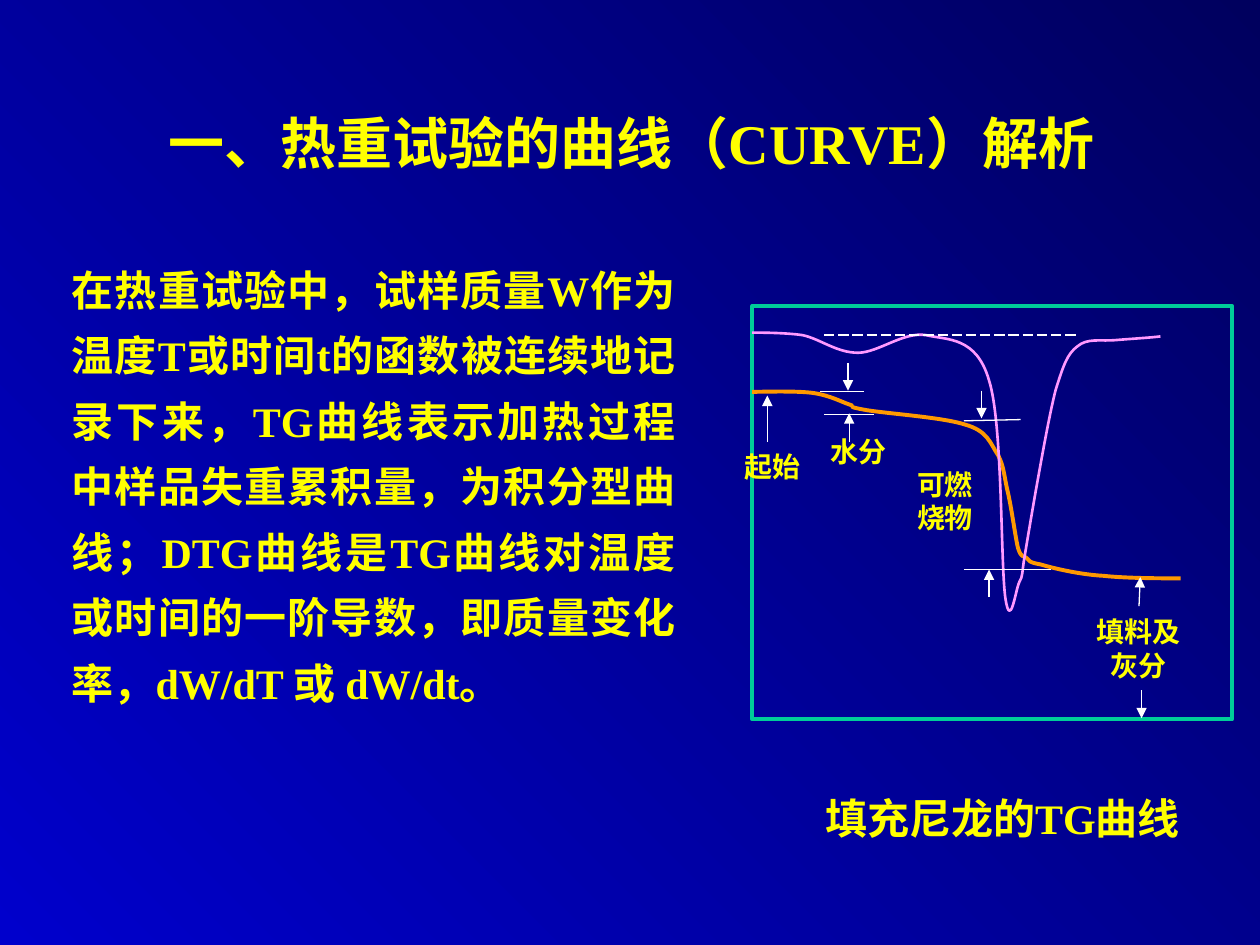
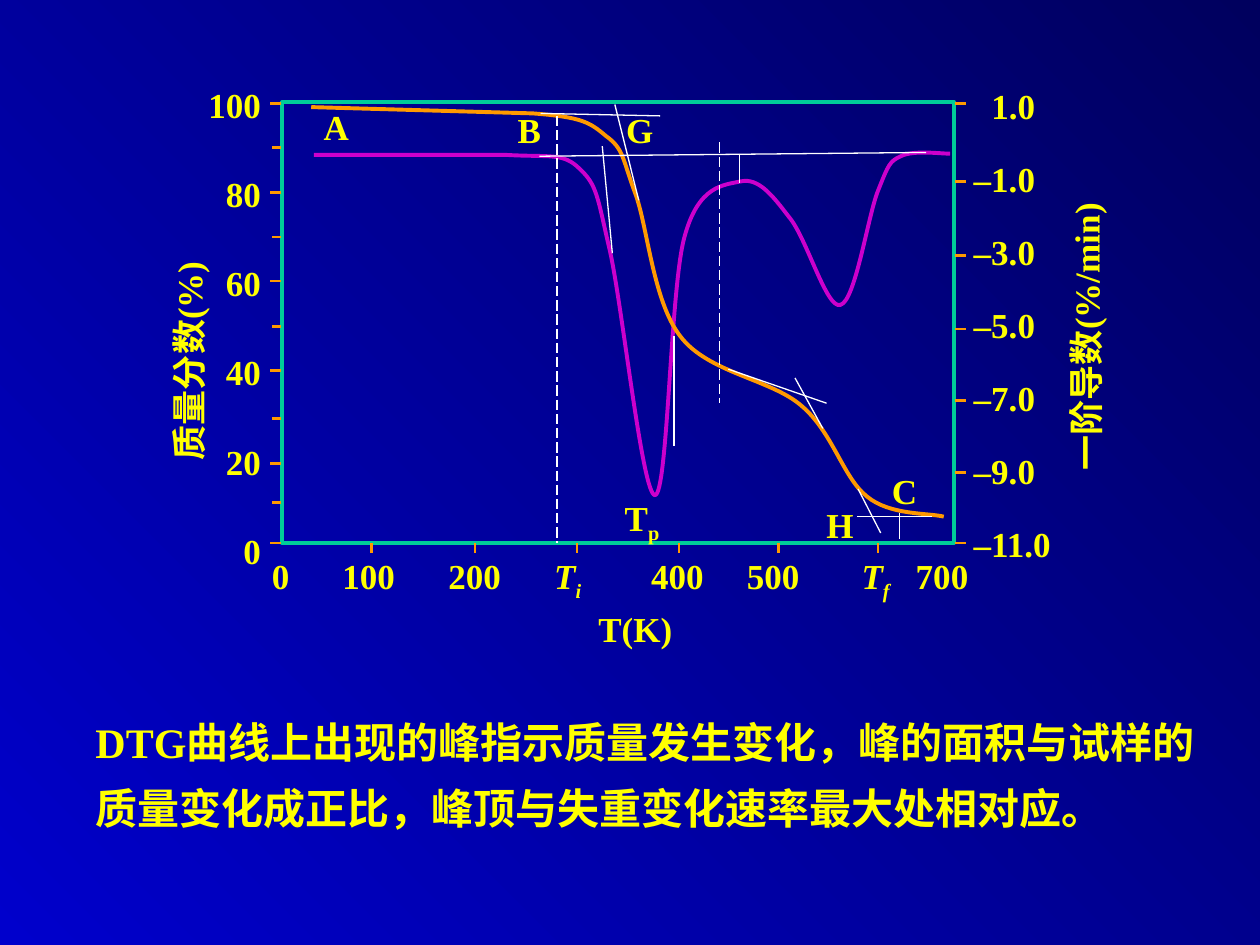
from itertools import cycle
from lxml.etree import SubElement
from pptx import Presentation
from pptx.dml.color import RGBColor
from pptx.enum.dml import MSO_LINE
from pptx.enum.shapes import MSO_CONNECTOR, MSO_SHAPE
from pptx.enum.text import MSO_ANCHOR, MSO_AUTO_SIZE, PP_ALIGN
from pptx.oxml.ns import qn
from pptx.util import Inches, Pt

COLORS = {
    "low": "0000CC", "high": "00005E", "text": "FFFF00", "frame": "00CC99",
    "mass": "FF9900", "rate": "FF99FF", "deriv": "CC00CC", "mark": "FFFFFF",
}
FONT = {"name": "Times New Roman", "bold": True}

MASS = [
    (5.97, 3.11), (6.05, 3.11, 6.33, 3.1, 6.46, 3.12),
    (6.59, 3.14, 6.68, 3.19, 6.74, 3.21), (6.81, 3.23, 6.69, 3.22, 6.85, 3.25),
    (7, 3.28, 7.48, 3.31, 7.66, 3.37), (7.84, 3.42, 7.86, 3.52, 7.92, 3.61),
    (7.97, 3.7, 7.97, 3.79, 8, 3.91), (8.03, 4.04, 8.06, 4.27, 8.08, 4.35),
    (8.11, 4.44, 8.12, 4.4, 8.15, 4.43), (8.18, 4.45, 8.15, 4.46, 8.26, 4.48),
    (8.36, 4.51, 8.57, 4.56, 8.76, 4.57), (8.94, 4.59, 9.24, 4.59, 9.37, 4.59),
]
RATE = [
    (5.97, 2.64), (6.03, 2.64, 6.23, 2.64, 6.37, 2.66),
    (6.51, 2.69, 6.64, 2.8, 6.81, 2.8), (6.97, 2.8, 7.17, 2.63, 7.35, 2.66),
    (7.52, 2.7, 7.75, 2.67, 7.85, 3.02), (7.96, 3.36, 7.94, 4.48, 7.98, 4.75),
    (8.02, 5.01, 8.06, 4.68, 8.09, 4.62), (8.12, 4.57, 8.11, 4.55, 8.13, 4.43),
    (8.15, 4.31, 8.18, 4.13, 8.22, 3.9), (8.26, 3.68, 8.33, 3.28, 8.38, 3.09),
    (8.44, 2.9, 8.47, 2.81, 8.55, 2.75), (8.63, 2.68, 8.74, 2.71, 8.85, 2.7),
    (8.96, 2.69, 9.14, 2.68, 9.21, 2.67),
]
DERIV = [
    (2.49, 1.23), (4.02, 1.23), (4.37, 1.25, 4.47, 1.21, 4.6, 1.34),
    (4.74, 1.47, 4.74, 1.56, 4.84, 1.99), (4.94, 2.43, 5.1, 3.95, 5.2, 3.93),
    (5.3, 3.91, 5.32, 2.3, 5.43, 1.89), (5.54, 1.47, 5.74, 1.47, 5.88, 1.44),
    (6.02, 1.41, 6.13, 1.55, 6.26, 1.72), (6.4, 1.88, 6.56, 2.46, 6.67, 2.42),
    (6.79, 2.39, 6.89, 1.7, 6.97, 1.51), (7.05, 1.31, 7.06, 1.28, 7.15, 1.24),
    (7.25, 1.19, 7.46, 1.22, 7.54, 1.22),
]
LOSS = [
    (2.47, 0.85), (4.23, 0.9), (4.62, 0.93, 4.68, 0.97, 4.81, 1.08),
    (4.95, 1.18, 4.94, 1.26, 5.04, 1.53), (5.14, 1.79, 5.18, 2.39, 5.4, 2.67),
    (5.62, 2.96, 6.12, 3.01, 6.36, 3.22), (6.61, 3.43, 6.69, 3.79, 6.88, 3.94),
    (7.06, 4.09, 7.36, 4.07, 7.49, 4.1),
]
LEVELS = [(6.51, 3.11, 6.86, 3.11), (6.54, 3.29, 6.94, 3.29),
          (7.65, 3.34, 8.1, 3.33), (7.65, 4.52, 8.34, 4.52)]
ARROWS = [(6.73, 2.88, 6.73, 3.1), (6.74, 3.51, 6.74, 3.28),
          (7.79, 3.1, 7.79, 3.32), (7.85, 4.74, 7.85, 4.52),
          (9.04, 4.81, 9.05, 4.58), (9.06, 5.48, 9.06, 5.7),
          (6.09, 3.51, 6.09, 3.14)]
GUIDES = [(5.35, 2.67, 5.35, 3.54), (5.78, 2.93, 6.56, 3.2),
          (6.31, 3, 6.53, 3.4), (6.99, 4.23, 6.81, 3.88),
          (6.8, 4.1, 7.4, 4.1), (7.14, 4.07, 7.14, 4.28),
          (4.28, 1.24, 7.35, 1.21), (4.78, 1.16, 4.86, 2.01),
          (5.87, 1.22, 5.87, 1.45), (5.24, 0.92, 4.29, 0.9),
          (4.88, 0.83, 5.07, 1.59)]
DROPS = [(5.71, 1.13, 5.71, 3.2), (4.42, 0.92, 4.42, 4.31)]

LEFT = [0.82, 1.17, 1.53, 1.88, 2.23, 2.59, 2.94, 3.32, 3.68, 3.99, 4.31]
RIGHT = [0.82, 1.44, 2.03, 2.61, 3.18, 3.75, 4.31]
BASE = [2.95, 3.77, 4.58, 5.39, 6.18, 6.97]
TABS = [0.56, 1.4, 2.24, 3.01, 3.77, 4.68, 5.11]


def color(name):
    return RGBColor.from_string(COLORS[name])


def apply(target, values):
    for key, value in values.items():
        setattr(target, key, value)


def paint(slide):
    fill = slide.background.fill
    fill.gradient()
    fill.gradient_angle = 45
    for stop, name in zip(fill.gradient_stops, ("low", "high")):
        stop.color.rgb = color(name)


def place(shape, box):
    names = ("left", "top", "width", "height")
    apply(shape, dict(zip(names, map(Inches, box))))


def add_run(para, text, size, style=""):
    run = para.add_run()
    run.text = text
    apply(run.font, {**FONT, "size": Pt(size)})
    run.font.color.rgb = color("text")
    if "i" in style:
        run.font.italic = True
    if "s" in style:
        run._r.get_or_add_rPr().set("baseline", "-25000")


def add_text(slide, box, lines, size=20, wrap=False, gap=0, turn=0, **layout):
    shape = slide.shapes.add_textbox(*map(Inches, box))
    shape.rotation = turn
    frame = shape.text_frame
    apply(frame, {"word_wrap": wrap, "auto_size": MSO_AUTO_SIZE.SHAPE_TO_FIT_TEXT})
    for index, line in enumerate(lines):
        para = frame.add_paragraph() if index else frame.paragraphs[0]
        apply(para, layout)
        if index and gap:
            para.space_before = Pt(gap)
        for run in [(line,)] if isinstance(line, str) else line:
            add_run(para, run[0], size, *run[1:])
    return frame


def add_tabs(para, stops):
    tabs = SubElement(para._p.get_or_add_pPr(), qn("a:tabLst"))
    for stop in stops:
        SubElement(tabs, qn("a:tab"), pos=str(Inches(stop)), algn="l")


def style_line(shape, name, width):
    shape.shadow.inherit = False
    shape.fill.background()
    shape.line.color.rgb = color(name)
    shape.line.width = Pt(width)


def add_frame(slide, box):
    shape = slide.shapes.add_shape(MSO_SHAPE.RECTANGLE, *map(Inches, box))
    style_line(shape, "frame", 2.25)


def add_line(slide, ends, name="mark", width=0.75, dash=False, arrow=False):
    link = slide.shapes.add_connector(MSO_CONNECTOR.STRAIGHT, *map(Inches, ends))
    link.line.color.rgb = color(name)
    link.line.width = Pt(width)
    if dash:
        link.line.dash_style = MSO_LINE.LONG_DASH
    if arrow:
        SubElement(link.line._get_or_add_ln(), qn("a:tailEnd"), type="triangle")
    SubElement(link._element.spPr, qn("a:effectLst"))


def bend(shape, route):
    trace = next(shape._element.iter(qn("a:path")))
    legs = iter(trace.findall(qn("a:lnTo")))
    for part in route[1:]:
        leg = next(legs)
        if len(part) == 6:
            curve = SubElement(trace, qn("a:cubicBezTo"))
            leg.addprevious(curve)
            for node in (leg, next(legs), next(legs)):
                curve.append(node[0])
                trace.remove(node)


def add_curve(slide, route, name, width=2.25):
    spots = [(Inches(part[i]), Inches(part[i + 1]))
             for part in route for i in range(0, len(part), 2)]
    pen = slide.shapes.build_freeform(*spots[0])
    pen.add_line_segments(spots[1:], close=False)
    shape = pen.convert_to_shape()
    bend(shape, route)
    style_line(shape, name, width)


def add_title(slide, text):
    title = slide.shapes.title
    place(title, (0.63, 0.81, 8.76, 0.63))
    frame = title.text_frame
    apply(frame, {"vertical_anchor": MSO_ANCHOR.MIDDLE, "auto_size": MSO_AUTO_SIZE.NONE})
    para = frame.paragraphs[0]
    para.alignment = PP_ALIGN.CENTER
    add_run(para, text, 32)


def add_ticks(slide):
    ticks = [(2.23, y, 2.23 - size, y) for y, size in zip(LEFT, cycle((0.09, 0.07)))]
    ticks += [(7.58, y, 7.67, y) for y in RIGHT]
    ticks += [(x, 4.31, x, 4.39) for x in BASE]
    for tick in ticks:
        add_line(slide, tick, "mass", 1.5)


def draw_nylon(slide):
    add_title(slide, "一、热重试验的曲线（CURVE）解析")
    add_text(slide, (0.47, 1.93, 4.99, 3.74),
             ["在热重试验中，试样质量W作为温度T或时间t的函数被连续地记录下来，"
              "TG曲线表示加热过程中样品失重累积量，为积分型曲线；DTG曲线是TG曲线"
              "对温度或时间的一阶导数，即质量变化率，dW/dT 或 dW/dt。"],
             24, True, alignment=PP_ALIGN.JUSTIFY, line_spacing=1.3)
    add_frame(slide, (5.97, 2.43, 3.81, 3.28))
    add_curve(slide, MASS, "mass")
    add_curve(slide, RATE, "rate", 1.5)
    add_line(slide, (6.54, 2.66, 8.56, 2.66), dash=True)
    for level in LEVELS:
        add_line(slide, level)
    for arrow in ARROWS:
        add_line(slide, arrow, arrow=True)
    add_text(slide, (5.81, 3.52, 0.64, 0.37), ["起始"], 16)
    add_text(slide, (6.49, 3.4, 0.64, 0.37), ["水分"], 16)
    add_text(slide, (7.18, 3.66, 0.7, 0.64), ["可燃烧物"], 16, True)
    add_text(slide, (8.55, 4.83, 0.97, 0.64), ["填料及", "灰分"], 16, True,
             alignment=PP_ALIGN.CENTER)
    add_text(slide, (6.45, 6.24, 3.34, 0.5), ["填充尼龙的TG曲线"], 24, True)


def draw_peaks(slide):
    add_frame(slide, (2.24, 0.81, 5.33, 3.5))
    add_curve(slide, DERIV, "deriv")
    add_curve(slide, LOSS, "mass")
    for guide in GUIDES:
        add_line(slide, guide)
    for drop in DROPS:
        add_line(slide, drop, dash=True)
    add_ticks(slide)
    add_text(slide, (0.58, 2.61, 1.84, 0.44), ["质量分数(%)"], turn=270)
    add_text(slide, (7.4, 2.39, 2.44, 0.44), ["一阶导数(%/min)"], turn=270)
    for name, x, y in [("A", 2.47, 0.79), ("B", 4.01, 0.81), ("C", 6.98, 3.68),
                       ("H", 6.46, 3.95), ("G", 4.87, 0.81)]:
        add_text(slide, (x, y, 0.41, 0.44), [name])
    add_text(slide, (1.53, 0.61, 0.64, 3.98), [str(n) for n in range(100, -1, -20)],
             gap=27, alignment=PP_ALIGN.RIGHT)
    rates = add_text(slide, (7.63, 0.62, 0.84, 3.92),
                     ["1.0"] + [f"–{n}.0" for n in range(1, 12, 2)], gap=17.7)
    rates.paragraphs[0]._p.get_or_add_pPr().set("marL", str(Inches(0.14)))
    heat = add_text(slide, (2.06, 4.35, 5.8, 0.48), [[]], wrap=True).paragraphs[0]
    add_tabs(heat, TABS)
    for text, style in [("0\t100\t200\t", ""), ("T", "i"), ("i", "is"),
                        ("\t400\t500\t", ""), ("T", "i"), ("f", "is"), ("\t700", "")]:
        add_run(heat, text, 20, style)
    add_text(slide, (4.86, 3.89, 0.5, 0.48), [[("T",), ("p", "s")]])
    add_text(slide, (4.65, 4.77, 0.79, 0.44), ["T(K)"])
    add_text(slide, (0.66, 5.52, 8.97, 1.14),
             ["DTG曲线上出现的峰指示质量发生变化，峰的面积与试样的质量变化成正比，"
              "峰顶与失重变化速率最大处相对应。"], 24, True, line_spacing=1.3)


def main():
    deck = Presentation()
    apply(deck, {"slide_width": Inches(10), "slide_height": Inches(7.5)})
    paint(deck.slide_master)
    draw_nylon(deck.slides.add_slide(deck.slide_layouts[5]))
    draw_peaks(deck.slides.add_slide(deck.slide_layouts[6]))
    deck.save("out.pptx")


if __name__ == "__main__":
    main()
